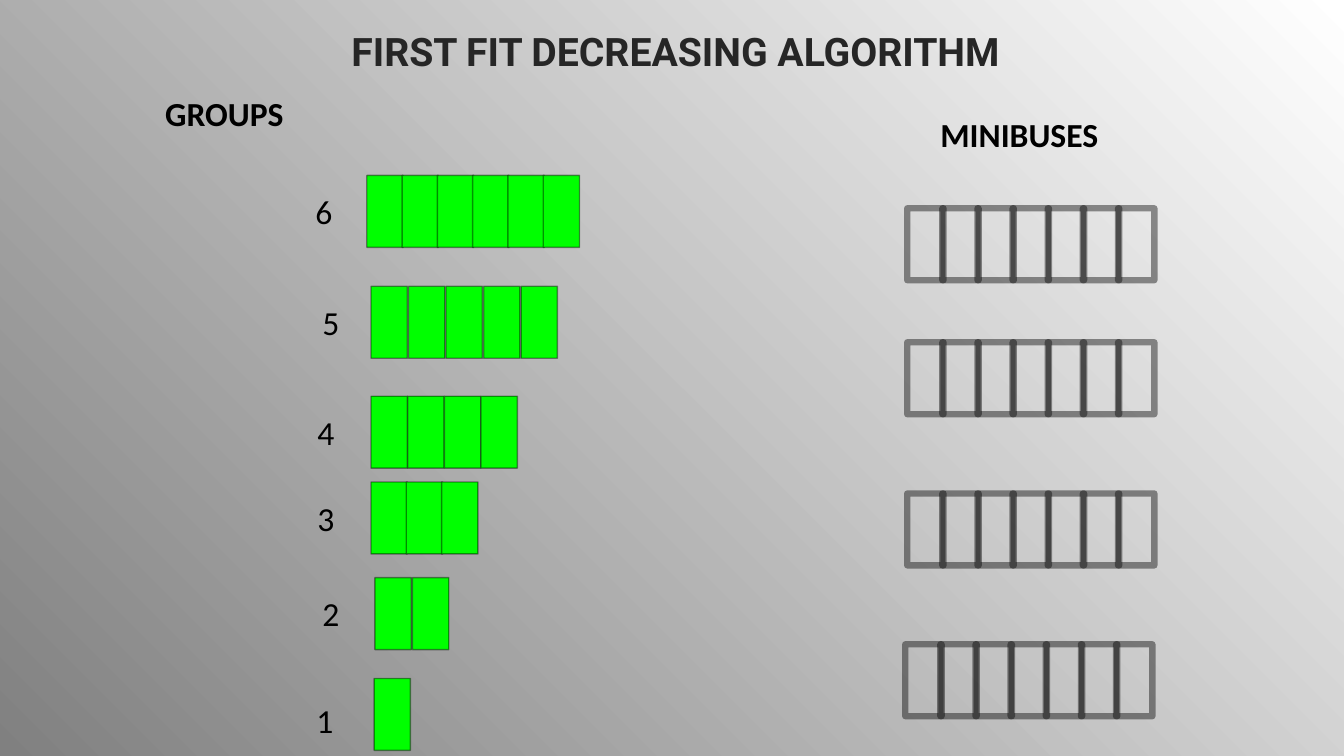
import pptx
import pptx.dml.color
import pptx.enum.shapes
import pptx.enum.text
import pptx.oxml.ns
import pptx.util
from lxml import etree

Pt = pptx.util.Pt
qn = pptx.oxml.ns.qn

SEAT_WIDTH, SEAT_HEIGHT = 26, 51.4
LABEL_WIDTH, LABEL_HEIGHT = 29.5, 36
GROUPS = [
    (6, 218.2, 133, 262, 125.3, 25.2),
    (5, 223.2, 212, 265, 204.5, 26.8),
    (4, 219.6, 291, 265, 283, 26.2),
    (3, 219.6, 352, 265, 344.3, 25.2),
    (2, 223.2, 420.3, 267.8, 412.6, 26.8),
    (1, 218.9, 496.1, 267.2, 484.6, 26),
]
MINIBUSES = [(648, 148.8), (648, 244.5), (648, 352.5), (646.6, 460.2)]
MINIBUS_SEATS, MINIBUS_PITCH = 7, 25.1


def color(hex_string):
    """Turn a hex string into a colour."""
    return pptx.dml.color.RGBColor.from_string(hex_string)


def add_text(shapes, text, left, top, width, height, size=24, font="Calibri",
             ink="000000", bold=False):
    """Place one line of text in the given box."""
    box = shapes.add_textbox(Pt(left), Pt(top), Pt(width), Pt(height))
    frame = box.text_frame
    frame.word_wrap = True
    frame.auto_size = pptx.enum.text.MSO_AUTO_SIZE.SHAPE_TO_FIT_TEXT
    run = frame.paragraphs[0].add_run()
    run.text = text
    run.font.size = Pt(size)
    run.font.name = font
    run.font.bold = bold
    run.font.color.rgb = color(ink)


def add_seats(shapes, count, left, top, pitch, line_width, fill=None):
    """Draw a row of seats with translucent outlines at an equal pitch."""
    for index in range(count):
        seat = shapes.add_shape(
            pptx.enum.shapes.MSO_SHAPE.RECTANGLE, Pt(left + index * pitch), Pt(top),
            Pt(SEAT_WIDTH), Pt(SEAT_HEIGHT))
        seat.shadow.inherit = False
        if fill:
            seat.fill.solid()
            seat.fill.fore_color.rgb = color(fill)
        else:
            seat.fill.background()
        seat.line.width = Pt(line_width)
        seat.line.color.rgb = color("000000")
        outline = seat.line.fill._xPr.find(qn("a:solidFill"))
        etree.SubElement(outline[0], qn("a:alpha"), val="42000")


def paint_background(slide):
    """Fill the slide with a circular gradient from the bottom left corner."""
    fill = slide.background.fill
    fill.gradient()
    for stop, position, tone in zip(fill.gradient_stops, (0, 1), ("808080", "FFFFFF")):
        stop.position = position
        stop.color.rgb = color(tone)
    gradient = next(slide.element.iter(qn("a:gradFill")))
    gradient.remove(gradient.find(qn("a:lin")))
    circle = etree.SubElement(gradient, qn("a:path"), path="circle")
    etree.SubElement(circle, qn("a:fillToRect"), t="100000", r="100000")


def add_groups(slide, left, top):
    """Draw the heading and the passenger groups in decreasing size."""
    add_text(slide.shapes, "GROUPS", left, top, 145, 36, bold=True)
    for size, label_left, label_top, row_left, row_top, pitch in GROUPS:
        members = slide.shapes.add_group_shape().shapes
        add_seats(members, size, row_left, row_top, pitch, 1, fill="00FF00")
        add_text(members, str(size), label_left, label_top, LABEL_WIDTH, LABEL_HEIGHT)


def add_minibuses(slide, left, top):
    """Draw the heading and the empty minibuses."""
    add_text(slide.shapes, "MINIBUSES", left, top, 145, 36, bold=True)
    for bus_left, bus_top in MINIBUSES:
        add_seats(slide.shapes, MINIBUS_SEATS, bus_left, bus_top, MINIBUS_PITCH, 4.5)


def main():
    """Build the slide and save it."""
    deck = pptx.Presentation()
    deck.slide_width, deck.slide_height = Pt(960), Pt(540)
    slide = deck.slides.add_slide(deck.slide_layouts[6])
    paint_background(slide)
    add_groups(slide, 110.9, 62.6)
    add_minibuses(slide, 664.6, 77.8)
    add_text(slide.shapes, "FIRST FIT DECREASING ALGORITHM", 244, 15.8, 518.4, 41,
             size=28, font="Roboto", ink="262626", bold=True)
    deck.save("out.pptx")


if __name__ == "__main__":
    main()
